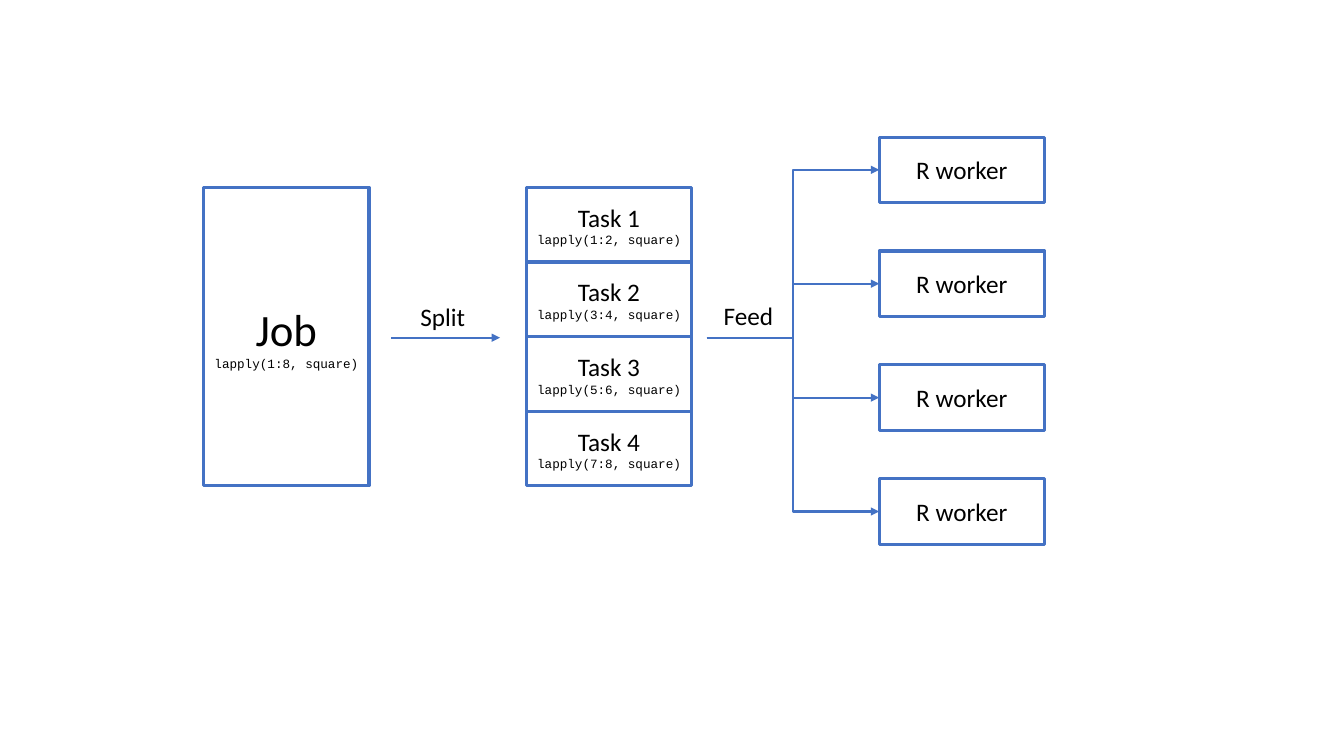
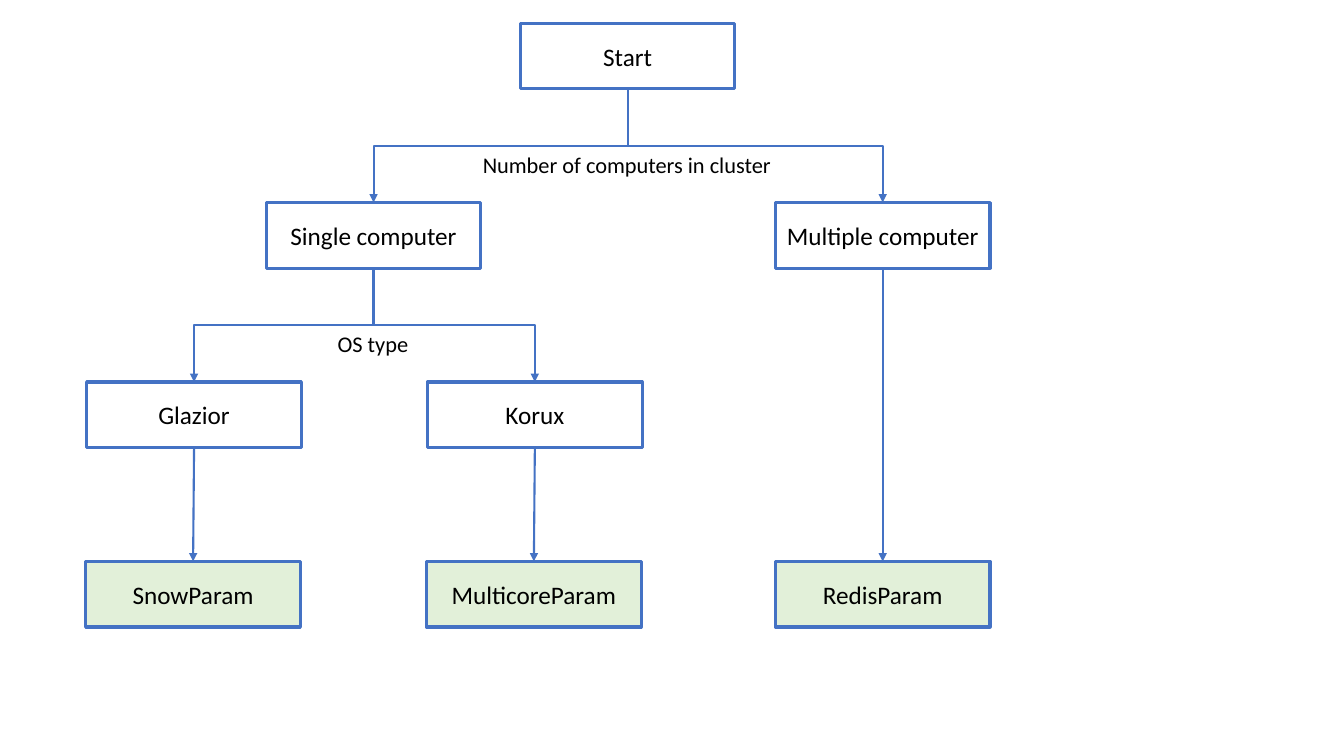
from dataclasses import dataclass

import pptx
import pptx.dml.color
import pptx.enum.shapes
import pptx.enum.text
import pptx.oxml
import pptx.oxml.ns
import pptx.util

Inches = pptx.util.Inches
Pt = pptx.util.Pt
RGB = pptx.dml.color.RGBColor
Connector = pptx.enum.shapes.MSO_CONNECTOR
qn = pptx.oxml.ns.qn

TOP_SITE, BOTTOM_SITE = 0, 2


@dataclass(frozen=True)
class Theme:
    blue: RGB = RGB(0x44, 0x72, 0xC4)
    white: RGB = RGB(0xFF, 0xFF, 0xFF)
    green: RGB = RGB(0xE2, 0xF0, 0xD9)
    black: RGB = RGB(0, 0, 0)
    body_font: str = "Calibri"
    code_font: str = "Courier New"
    job_size: float = 32
    body_size: float = 18
    question_size: float = 16
    code_size: float = 9
    border: float = 2.25
    arrow: float = 1.5


THEME = Theme()


def write(paragraph, text, size, font=THEME.body_font):
    paragraph.text = text
    paragraph.font.size = Pt(size)
    paragraph.font.name = font
    paragraph.font.color.rgb = THEME.black


def add_box(slide, left, top, width, height, title, code=None,
            size=THEME.body_size, fill=THEME.white):
    """Outlined box with a centred title and an optional line of code."""
    box = slide.shapes.add_shape(
        pptx.enum.shapes.MSO_SHAPE.RECTANGLE,
        Inches(left), Inches(top), Inches(width), Inches(height))
    box.shadow.inherit = False
    box.fill.solid()
    box.fill.fore_color.rgb = fill
    box.line.color.rgb = THEME.blue
    box.line.width = Pt(THEME.border)
    frame = box.text_frame
    frame.word_wrap = True
    frame.vertical_anchor = pptx.enum.text.MSO_ANCHOR.MIDDLE
    write(frame.paragraphs[0], title, size)
    if code:
        write(frame.add_paragraph(), code, THEME.code_size, THEME.code_font)
    for paragraph in frame.paragraphs:
        paragraph.alignment = pptx.enum.text.PP_ALIGN.CENTER
    return box


def add_label(slide, left, top, width, height, text, size=THEME.body_size):
    label = slide.shapes.add_textbox(
        Inches(left), Inches(top), Inches(width), Inches(height))
    label.text_frame.word_wrap = False
    label.text_frame.auto_size = pptx.enum.text.MSO_AUTO_SIZE.SHAPE_TO_FIT_TEXT
    write(label.text_frame.paragraphs[0], text, size)


def add_arrow(slide, kind, start, end):
    """Arrow between two (x, y) points given in EMU."""
    arrow = slide.shapes.add_connector(kind, *start, *end)
    arrow.line.color.rgb = THEME.blue
    arrow.line.width = Pt(THEME.arrow)
    properties = arrow.element.spPr
    head = pptx.oxml.parse_xml(
        f'<a:tailEnd {pptx.oxml.ns.nsdecls("a")} type="triangle"/>')
    properties.find(qn("a:ln")).append(head)
    properties.append(pptx.oxml.parse_xml(
        f'<a:effectLst {pptx.oxml.ns.nsdecls("a")}/>'))
    return arrow


def add_branch(slide, parent, child):
    """Elbow arrow from the bottom of parent, down to the top of child."""
    start_x, start_y = parent.left + parent.width // 2, parent.top + parent.height
    end_x, end_y = child.left + child.width // 2, child.top
    center_x, center_y = (start_x + end_x) // 2, (start_y + end_y) // 2
    half_drop, half_span = (end_y - start_y) // 2, abs(end_x - start_x) // 2
    side = 1 if end_x > start_x else -1
    # An elbow leaves sideways, so it is laid flat and turned a quarter.
    arrow = add_arrow(
        slide, Connector.ELBOW,
        (center_x + side * half_drop, center_y - half_span),
        (center_x - side * half_drop, center_y + half_span))
    degrees = 270 if side > 0 else 90
    arrow.element.spPr.find(qn("a:xfrm")).set("rot", str(degrees * 60000))


def add_drop(slide, parent, child):
    """Straight arrow glued to the bottom of parent and the top of child."""
    arrow = add_arrow(slide, Connector.STRAIGHT, (0, 0), (0, 0))
    arrow.begin_connect(parent, BOTTOM_SITE)
    arrow.end_connect(child, TOP_SITE)


def build_job_flow(slide):
    box_width, top, task_height, task_count = 1.64, 1.86, 0.74, 4
    worker_left, worker_height = 8.72, 0.65
    worker_top, worker_pitch, worker_count = 1.36, 1.13, 4
    middle = Inches(3.35)

    add_box(slide, 2.02, top, box_width, task_height * task_count,
            "Job", "lapply(1:8, square)", THEME.job_size)
    for index in range(task_count):
        first = 2 * index + 1
        add_box(slide, 5.22, top + index * task_height, box_width, task_height,
                f"Task {index + 1}", f"lapply({first}:{first + 1}, square)")

    add_arrow(slide, Connector.STRAIGHT,
              (Inches(3.88), middle), (Inches(4.96), middle))
    add_label(slide, 4.07, 2.94, 0.65, 0.4, "Split")
    add_label(slide, 7.08, 2.93, 0.7, 0.4, "Feed")

    for index in range(worker_count):
        worker = add_box(slide, worker_left, worker_top + index * worker_pitch,
                         box_width, worker_height, "R worker")
        add_arrow(slide, Connector.ELBOW, (Inches(7.01), middle),
                  (worker.left, worker.top + worker.height // 2))


def build_backend_choice(slide):
    first_row, row_pitch = 0.23, 1.78

    def add_node(left, row, title, fill=THEME.white):
        return add_box(slide, left, first_row + row * row_pitch, 2.13, 0.65,
                       title, fill=fill)

    start = add_node(5.16, 0, "Start")
    single = add_node(2.64, 1, "Single computer")
    multiple = add_node(7.69, 1, "Multiple computer")
    first_system = add_node(0.86, 2, "Glazior")
    second_system = add_node(4.24, 2, "Korux")
    snow = add_node(0.85, 3, "SnowParam", THEME.green)
    multicore = add_node(4.23, 3, "MulticoreParam", THEME.green)
    redis = add_node(7.69, 3, "RedisParam", THEME.green)

    for parent, child in ((start, single), (start, multiple),
                          (single, first_system), (single, second_system)):
        add_branch(slide, parent, child)
    for parent, child in ((first_system, snow), (second_system, multicore),
                          (multiple, redis)):
        add_drop(slide, parent, child)

    add_label(slide, 4.69, 1.45, 3.1, 0.37,
              "Number of computers in cluster", THEME.question_size)
    add_label(slide, 3.25, 3.23, 0.91, 0.37, "OS type", THEME.question_size)


def main():
    deck = pptx.Presentation()
    deck.slide_width, deck.slide_height = Inches(13.33), Inches(7.5)
    blank = deck.slide_layouts[6]
    for build in (build_job_flow, build_backend_choice):
        build(deck.slides.add_slide(blank))
    deck.save("out.pptx")


if __name__ == "__main__":
    main()
